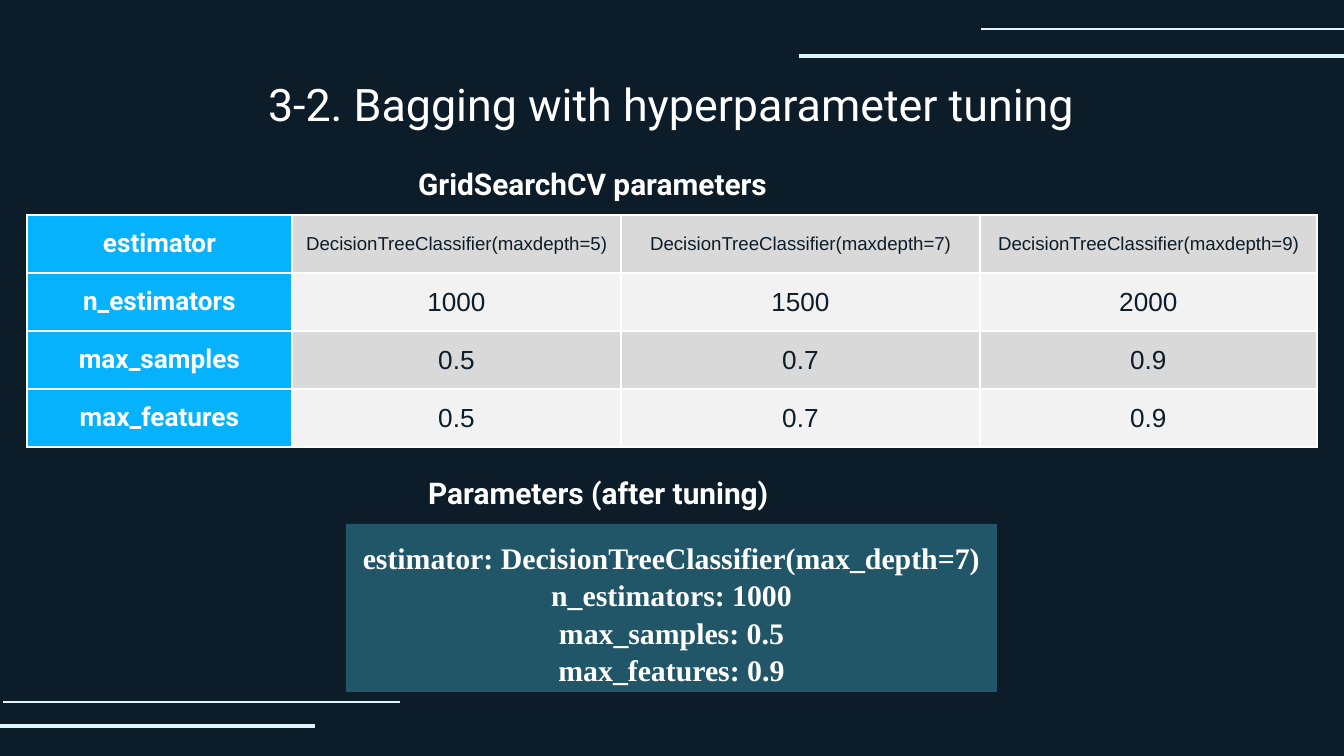
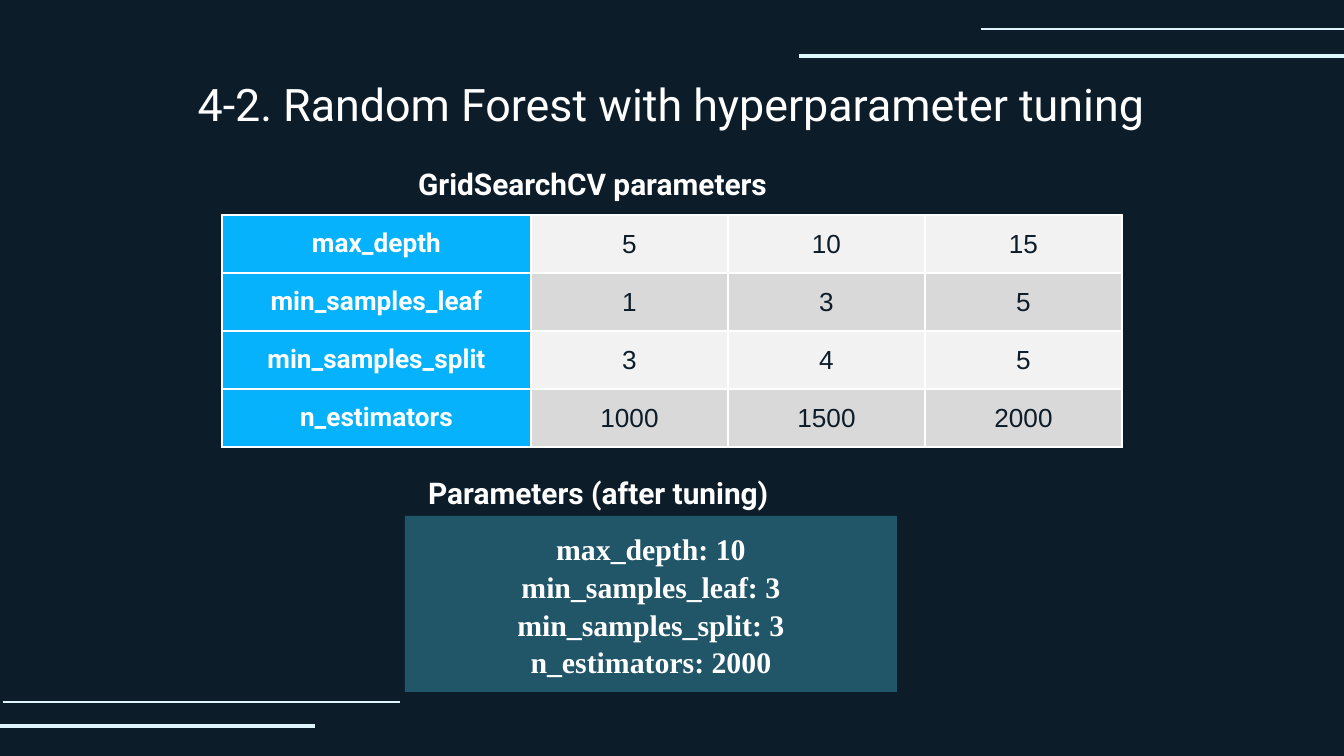
import pptx
import pptx.dml.color
import pptx.enum.shapes
import pptx.enum.text
import pptx.oxml
import pptx.oxml.ns
import pptx.util
from lxml import etree

RGBColor = pptx.dml.color.RGBColor
NAVY = RGBColor(0x0C, 0x1C, 0x29)
PALE_BLUE = RGBColor(0xE0, 0xF4, 0xFB)
WHITE = RGBColor(0xFF, 0xFF, 0xFF)
BRIGHT_BLUE = RGBColor(0x05, 0xB2, 0xFB)
TEAL = RGBColor(0x21, 0x55, 0x68)
DARK_GREY = RGBColor(0xD9, 0xD9, 0xD9)
LIGHT_GREY = RGBColor(0xF2, 0xF2, 0xF2)

CENTER = pptx.enum.text.PP_ALIGN.CENTER
LEFT = pptx.enum.text.PP_ALIGN.LEFT
TOP = pptx.enum.text.MSO_ANCHOR.TOP
MIDDLE = pptx.enum.text.MSO_ANCHOR.MIDDLE
BOTTOM = pptx.enum.text.MSO_ANCHOR.BOTTOM

SLIDE_SIZE = (1344, 756)
EMU_PER_PX = 914400 / 134.4
INSET = pptx.util.Inches(0.1)

TITLE_BOX = (-19, 63, 1380, 85)
TABLE_TOP = 215
ROW_HEIGHT = 58

# Start x, end x, y and line width in points
DECOR_LINES = [
    (0, 315, 726, 2.25),
    (3, 400, 702, 0.75),
    (799, 1344, 56, 2.25),
    (981, 1344, 29, 0.75),
]

HEADINGS = [
    ("GridSearchCV parameters", (405, 137, 534, 78)),
    ("Parameters (after tuning)", (415, 461, 512, 63)),
]

SLIDES = [
    {
        "title": "3-2. Bagging with hyperparameter tuning",
        "grid": [
            ("estimator", *(f"DecisionTreeClassifier(maxdepth={depth})" for depth in (5, 7, 9))),
            ("n_estimators", "1000", "1500", "2000"),
            ("max_samples", "0.5", "0.7", "0.9"),
            ("max_features", "0.5", "0.7", "0.9"),
        ],
        "columns": (265, 329, 359, 337),
        "bands": (DARK_GREY, LIGHT_GREY),
        "best": [
            "estimator: DecisionTreeClassifier(max_depth=7)",
            "n_estimators: 1000",
            "max_samples: 0.5",
            "max_features: 0.9",
        ],
        "best_box": (346, 524, 651, 168),
    },
    {
        "title": "4-2. Random Forest with hyperparameter tuning",
        "grid": [
            ("max_depth", "5", "10", "15"),
            ("min_samples_leaf", "1", "3", "5"),
            ("min_samples_split", "3", "4", "5"),
            ("n_estimators", "1000", "1500", "2000"),
        ],
        "columns": (309, 197, 197, 197),
        "bands": (LIGHT_GREY, DARK_GREY),
        "best": [
            "max_depth: 10",
            "min_samples_leaf: 3",
            "min_samples_split: 3",
            "n_estimators: 2000",
        ],
        "best_box": (405, 516, 492, 176),
    },
]


def px(*lengths):
    return [pptx.util.Emu(round(length * EMU_PER_PX)) for length in lengths]


def format_text(text_frame, font_name, size, color, bold, align):
    for paragraph in text_frame.paragraphs:
        paragraph.alignment = align
        for run in paragraph.runs:
            run.font.name = font_name
            run.font.size = pptx.util.Pt(size)
            run.font.color.rgb = color
            run.font.bold = bold


def set_frame(text_frame, anchor):
    text_frame.word_wrap = True
    text_frame.auto_size = pptx.enum.text.MSO_AUTO_SIZE.NONE
    text_frame.vertical_anchor = anchor
    text_frame.margin_left = text_frame.margin_right = INSET
    text_frame.margin_top = text_frame.margin_bottom = INSET


def prepare_layout(layout):
    layout.background.fill.solid()
    layout.background.fill.fore_color.rgb = NAVY
    for placeholder in list(layout.placeholders):
        if placeholder.placeholder_format.type != pptx.enum.shapes.PP_PLACEHOLDER.TITLE:
            layout.shapes.element.remove(placeholder.element)


def move_lines_to_layout(slide, layout):
    """Draw the decorative lines, then hand them to the layout all slides share."""
    for start, end, y, width in DECOR_LINES:
        line = slide.shapes.add_connector(
            pptx.enum.shapes.MSO_CONNECTOR.STRAIGHT, *px(start, y, end, y))
        line.line.color.rgb = PALE_BLUE
        line.line.width = pptx.util.Pt(width)
        etree.SubElement(line.element.spPr, pptx.oxml.ns.qn("a:effectLst"))
        layout.shapes.element.append(line.element)


def add_title(slide, text):
    title = slide.shapes.title
    title.left, title.top, title.width, title.height = px(*TITLE_BOX)
    set_frame(title.text_frame, TOP)
    title.text_frame.text = text
    format_text(title.text_frame, "Roboto", 24, WHITE, False, CENTER)


def add_heading(slide, text, box):
    heading = slide.shapes.add_textbox(*px(*box))
    set_frame(heading.text_frame, BOTTOM)
    heading.text_frame.text = text
    format_text(heading.text_frame, "Roboto", 16, WHITE, True, LEFT)


def add_borders(cell):
    properties = cell._tc.get_or_add_tcPr()
    for side in ("lnL", "lnR", "lnT", "lnB"):
        properties.append(pptx.oxml.parse_xml(
            f'<a:{side} {pptx.oxml.ns.nsdecls("a")} w="{pptx.util.Pt(1)}">'
            f'<a:solidFill><a:srgbClr val="{WHITE}"/></a:solidFill></a:{side}>'))


def add_grid(slide, grid, columns, bands):
    width = sum(columns)
    left = (SLIDE_SIZE[0] - width) / 2
    frame = slide.shapes.add_table(
        len(grid), len(columns), *px(left, TABLE_TOP, width, ROW_HEIGHT * len(grid)))
    table = frame.table
    table.first_row = table.horz_banding = False
    for column, column_width in zip(table.columns, px(*columns)):
        column.width = column_width
    for row_index, values in enumerate(grid):
        table.rows[row_index].height = px(ROW_HEIGHT)[0]
        for column_index, value in enumerate(values):
            is_name = column_index == 0
            cell = table.cell(row_index, column_index)
            add_borders(cell)
            cell.fill.solid()
            cell.fill.fore_color.rgb = BRIGHT_BLUE if is_name else bands[row_index % 2]
            cell.vertical_anchor = MIDDLE
            cell.margin_left = cell.margin_right = INSET
            cell.margin_top = cell.margin_bottom = INSET
            cell.text_frame.text = value
            if is_name:
                format_text(cell.text_frame, "Roboto", 14, WHITE, True, CENTER)
            else:
                size = 10 if "Classifier" in value else 14
                format_text(cell.text_frame, "Arial", size, NAVY, False, CENTER)


def add_best_parameters(slide, lines, box):
    panel = slide.shapes.add_shape(pptx.enum.shapes.MSO_SHAPE.RECTANGLE, *px(*box))
    panel.shadow.inherit = False
    panel.fill.solid()
    panel.fill.fore_color.rgb = TEAL
    panel.line.fill.background()
    set_frame(panel.text_frame, TOP)
    panel.text_frame.text = "\n".join(lines)
    format_text(panel.text_frame, "Times New Roman", 16, WHITE, True, CENTER)
    for paragraph in panel.text_frame.paragraphs:
        paragraph.line_spacing = 1.05


def main():
    presentation = pptx.Presentation()
    presentation.slide_width, presentation.slide_height = px(*SLIDE_SIZE)
    layout = presentation.slide_layouts.get_by_name("Title Only")
    prepare_layout(layout)
    for content in SLIDES:
        slide = presentation.slides.add_slide(layout)
        add_title(slide, content["title"])
        add_grid(slide, content["grid"], content["columns"], content["bands"])
        for text, box in HEADINGS:
            add_heading(slide, text, box)
        add_best_parameters(slide, content["best"], content["best_box"])
    move_lines_to_layout(presentation.slides[0], layout)
    presentation.save("out.pptx")


if __name__ == "__main__":
    main()
